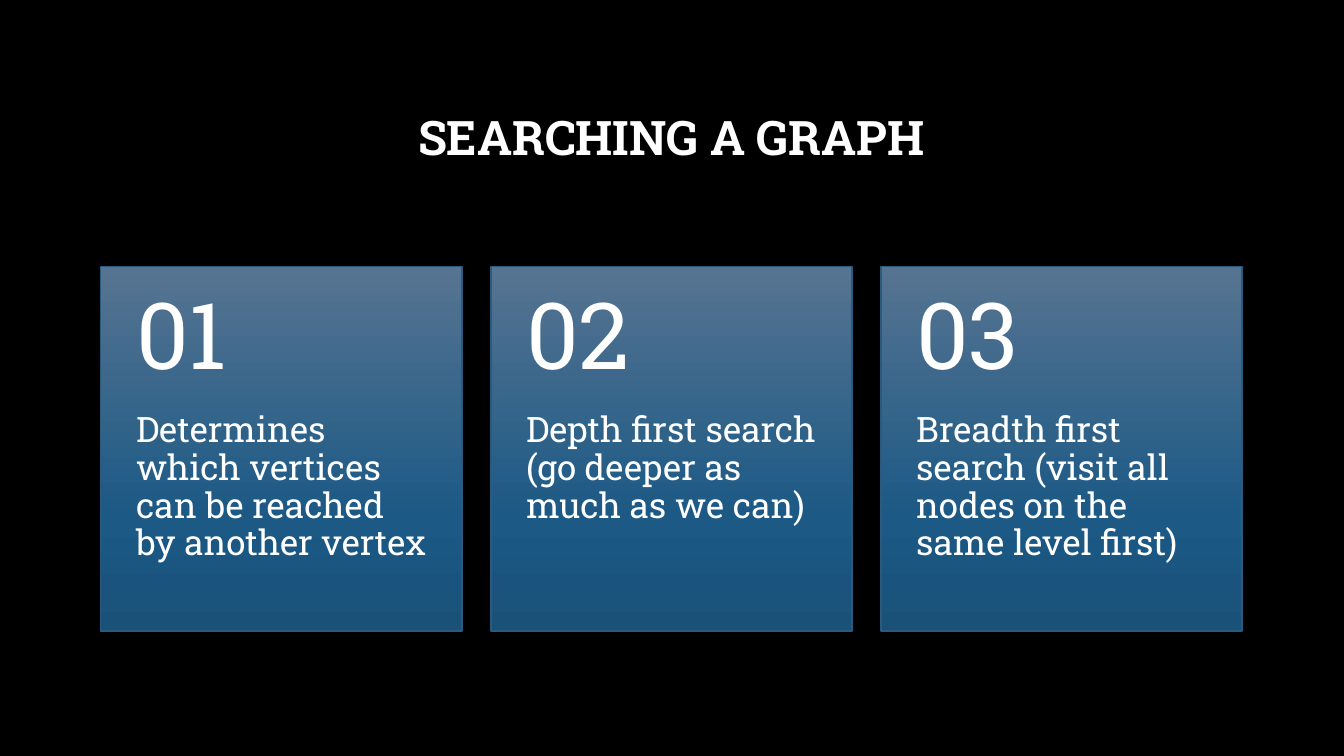
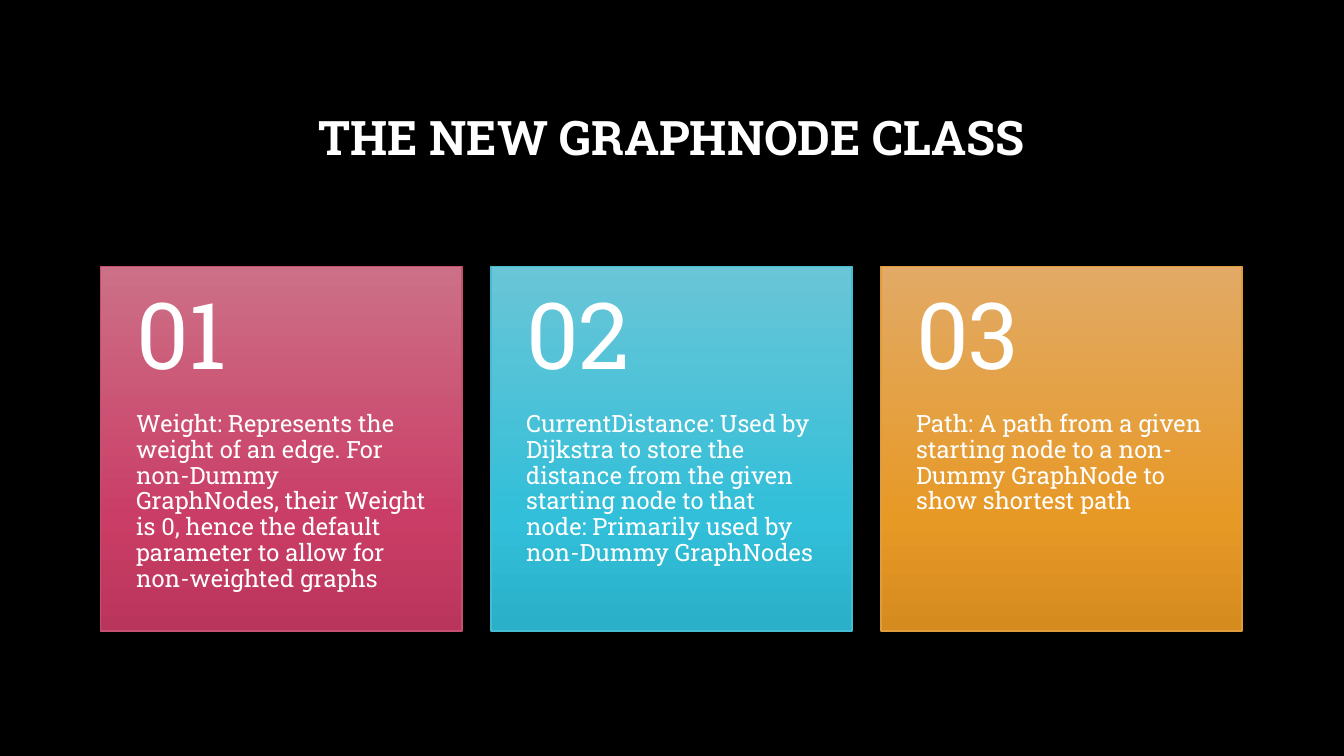
from copy import deepcopy

from pptx import Presentation
from pptx import util as u
from pptx.dml.color import RGBColor
from pptx.enum import shapes, text
from pptx.oxml.ns import qn

BLUE = (("567491", "1C5985", "195179"), "2A5B7F")
PINK = (("CC7087", "CA3D66", "BA355B"), "C54F71")
CYAN = (("6AC5D7", "32BFD9", "2AB0C8"), "45BCD2")
GOLD = (("E2AA66", "E79926", "D68B1F"), "DE9C3C")


def rgb(code):
    return RGBColor.from_string(code)


def apply(item, values):
    for name, value in values.items():
        setattr(item, name, value)


class Deck:
    font = "Roboto Slab"
    ink, back = "FFFFFF", "000000"
    left, top = 2.54, 6.71
    wide, high, pitch = 9.1, 9.19, 9.83
    head = 3.68  # height of the number area in a card
    side = 0.89  # left and right text margin in a card

    def __init__(self):
        self.prs = Presentation()
        apply(self.prs, dict(slide_width=u.Cm(33.87), slide_height=u.Cm(19.05)))
        fill = self.prs.slide_master.background.fill
        fill.solid()
        fill.fore_color.rgb = rgb(self.back)
        self.slide = None

    def add(self, title):
        self.slide = self.prs.slides.add_slide(self.prs.slide_layouts[5])
        box = self.slide.shapes.title
        apply(box, dict(left=u.Cm(self.left), top=u.Cm(1.7),
                        width=u.Cm(28.76), height=u.Cm(3.68)))
        self.label(box, title, 34, bold=True, align=text.PP_ALIGN.CENTER)

    def label(self, box, words, size, bold=False, align=text.PP_ALIGN.LEFT,
              anchor=text.MSO_ANCHOR.MIDDLE, **margins):
        frame = box.text_frame
        frame.text = words
        apply(frame, dict(word_wrap=True, auto_size=text.MSO_AUTO_SIZE.NONE,
                          vertical_anchor=anchor))
        apply(frame, {f"margin_{edge}": u.Cm(gap) for edge, gap in margins.items()})
        para = frame.paragraphs[0]
        apply(para, dict(alignment=align, line_spacing=0.9))
        apply(para.font, dict(name=self.font, size=u.Pt(size), bold=bold))
        para.font.color.rgb = rgb(self.ink)

    def shade(self, box, codes):
        """Fill a shape from top to bottom with three colours."""
        fill = box.fill
        fill.gradient()
        fill.gradient_angle = 270
        stops = box.element.spPr.find(qn("a:gradFill")).find(qn("a:gsLst"))
        stops.append(deepcopy(stops[-1]))
        for stop, code, place in zip(fill.gradient_stops, codes, (0, 0.69, 1)):
            stop.color.rgb = rgb(code)
            stop.position = place

    def card(self, index, words, size, look):
        codes, edge = look
        x, y, w = (u.Cm(n) for n in (self.left + index * self.pitch, self.top, self.wide))
        group = self.slide.shapes.add_group_shape().shapes
        panel = group.add_shape(shapes.MSO_SHAPE.RECTANGLE, x, y, w, u.Cm(self.high))
        panel.shadow.inherit = False
        self.shade(panel, codes)
        panel.line.color.rgb = rgb(edge)
        panel.line.width = u.Pt(1)
        body = group.add_textbox(x, u.Cm(self.top + self.head), w,
                                 u.Cm(self.high - self.head))
        self.label(body, words, size, anchor=text.MSO_ANCHOR.TOP,
                   left=self.side, right=self.side, top=0, bottom=0.91)
        number = group.add_textbox(x, y, w, u.Cm(self.head))
        self.label(number, f"{index + 1:02}", 66,
                   left=self.side, right=self.side, top=0.46, bottom=0.46)

    def cards(self, size, looks, items):
        for index, (words, look) in enumerate(zip(items, looks)):
            self.card(index, words, size, look)


def main():
    deck = Deck()
    deck.add("SEARCHING A GRAPH")
    deck.cards(25, [BLUE] * 3, [
        "Determines which vertices can be reached by another vertex",
        "Depth first search (go deeper as much as we can)",
        "Breadth first search (visit all nodes on the same level first)",
    ])
    deck.add("THE NEW GRAPHNODE CLASS")
    deck.cards(17, [PINK, CYAN, GOLD], [
        "Weight: Represents the weight of an edge. For non-Dummy GraphNodes, "
        "their Weight is 0, hence the default parameter to allow for "
        "non-weighted graphs",
        "CurrentDistance: Used by Dijkstra to store the distance from the given "
        "starting node to that node: Primarily used by non-Dummy GraphNodes",
        "Path: A path from a given starting node to a non-Dummy GraphNode to "
        "show shortest path",
    ])
    deck.prs.save("out.pptx")


if __name__ == "__main__":
    main()
